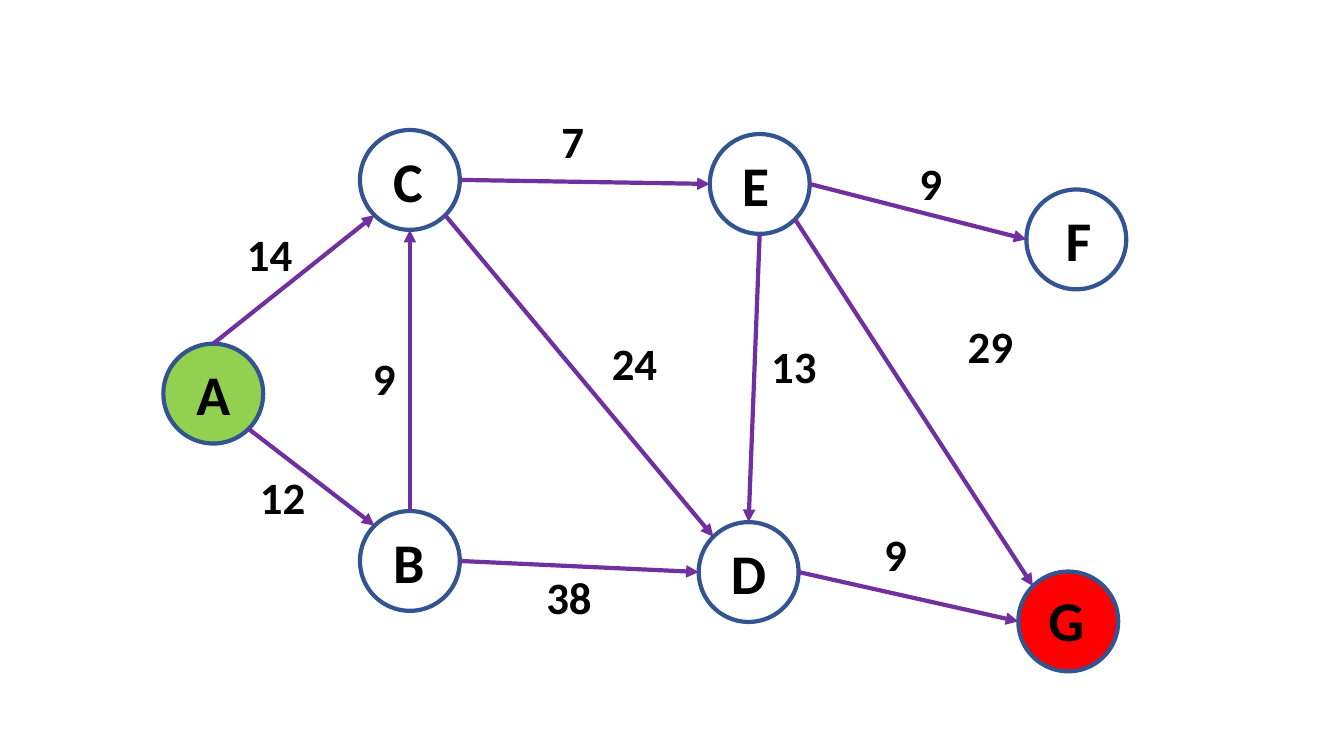
import math
import pptx
import pptx.util
import pptx.dml.color
import pptx.enum.shapes
import pptx.enum.text
import pptx.oxml.ns
import lxml.etree

Inches = pptx.util.Inches
COLORS = {"start": "92D050", "goal": "FF0000", "outline": "325491",
          "edge": "7030A0", "text": "000000"}
DIAMETER = 0.99
LINE_WIDTH = 3
LETTER_HEIGHT, WEIGHT_HEIGHT = 0.77, 0.64
WEIGHT_WIDTHS = {1: 0.43, 2: 0.66}

# Node: left, top, letter offset x, y, letter width, letter wraps, fill
NODES = {
    "A": (0, 2.33, 0.23, 0.11, 0.54, False, "start"),
    "C": (1.95, 0.21, 0.23, 0.11, 0.50, False, None),
    "B": (1.95, 3.99, 0.23, 0.11, 0.52, False, None),
    "E": (5.42, 0.25, 0.22, 0.11, 0.48, False, None),
    "D": (5.31, 4.10, 0.22, 0.11, 0.54, True, None),
    "F": (8.56, 0.80, 0.29, 0.11, 0.54, True, None),
    "G": (8.48, 4.59, 0.20, 0.09, 0.54, True, "goal"),
}

# Connection sites of an ellipse, counterclockwise from the top
TOP, TOP_LEFT, LEFT, BOTTOM_LEFT, BOTTOM, BOTTOM_RIGHT, RIGHT = range(7)

# Edge: from node, site, to node, site, weight, weight left, top
EDGES = [
    ("A", TOP, "C", BOTTOM_LEFT, "14", 0.73, 1.12),
    ("A", BOTTOM_RIGHT, "B", TOP_LEFT, "12", 0.86, 3.53),
    ("C", RIGHT, "E", LEFT, "7", 3.85, 0),
    ("B", TOP, "C", BOTTOM, "9", 1.98, 2.35),
    ("C", BOTTOM_RIGHT, "D", TOP_LEFT, "24", 4.35, 2.20),
    ("E", BOTTOM, "D", TOP, "13", 5.93, 2.23),
    ("E", RIGHT, "F", LEFT, "9", 7.40, 0.42),
    ("D", RIGHT, "G", LEFT, "9", 7.05, 4.10),
    ("E", BOTTOM_RIGHT, "G", TOP_LEFT, "29", 7.88, 2.03),
    ("B", RIGHT, "D", LEFT, "38", 3.70, 4.52),
]


def rgb(name):
    return pptx.dml.color.RGBColor.from_string(COLORS[name])


def add_xml(parent, tag, **attributes):
    return lxml.etree.SubElement(parent, pptx.oxml.ns.qn(tag), attributes)


def set_line(line, color):
    line.color.rgb = rgb(color)
    line.width = pptx.util.Pt(LINE_WIDTH)


def add_label(slide, text, left, top, width, height, size, wrap=False):
    label = slide.shapes.add_textbox(*map(Inches, (left, top, width, height)))
    frame = label.text_frame
    frame.word_wrap = wrap
    frame.auto_size = pptx.enum.text.MSO_AUTO_SIZE.SHAPE_TO_FIT_TEXT
    run = frame.paragraphs[0].add_run()
    run.text = text
    text_format = {"name": "Calibri", "size": pptx.util.Pt(size), "bold": True}
    for attribute, value in text_format.items():
        setattr(run.font, attribute, value)
    run.font.color.rgb = rgb("text")


def add_node(slide, letter, left, top):
    _, _, dx, dy, width, wrap, fill = NODES[letter]
    circle = slide.shapes.add_shape(
        pptx.enum.shapes.MSO_SHAPE.OVAL,
        *map(Inches, (left, top, DIAMETER, DIAMETER)))
    circle.shadow.inherit = False
    if fill:
        circle.fill.solid()
        circle.fill.fore_color.rgb = rgb(fill)
    else:
        circle.fill.background()
    set_line(circle.line, "outline")
    add_label(slide, letter, left + dx, top + dy, width, LETTER_HEIGHT, 40, wrap)
    return circle


def site_point(circle, site):
    angle = math.pi / 2 + site * math.pi / 4
    radius = circle.width / 2
    return (round(circle.left + radius * (1 + math.cos(angle))),
            round(circle.top + radius * (1 - math.sin(angle))))


def add_edge(slide, source, source_site, target, target_site):
    arrow = slide.shapes.add_connector(
        pptx.enum.shapes.MSO_CONNECTOR.STRAIGHT,
        *site_point(source, source_site), *site_point(target, target_site))
    set_line(arrow.line, "edge")
    add_xml(arrow.line._get_or_add_ln(), "a:tailEnd", type="triangle")
    add_xml(arrow._element.spPr, "a:effectLst")
    # Glue both ends to their nodes
    glue = arrow._element.nvCxnSpPr.cNvCxnSpPr
    ends = {"a:stCxn": (source, source_site), "a:endCxn": (target, target_site)}
    for tag, (node, site) in ends.items():
        add_xml(glue, tag, id=str(node.shape_id), idx=str(site))


def add_graph(slide, left, top):
    # Nodes with their letters
    circles = {letter: add_node(slide, letter, left + node[0], top + node[1])
               for letter, node in NODES.items()}
    # Directed edges
    for source, source_site, target, target_site, *_ in EDGES:
        add_edge(slide, circles[source], source_site, circles[target], target_site)
    # Edge weights
    for *_, weight, x, y in EDGES:
        add_label(slide, weight, left + x, top + y,
                  WEIGHT_WIDTHS[len(weight)], WEIGHT_HEIGHT, 32)


presentation = pptx.Presentation()
presentation.slide_width = Inches(13.33)
presentation.slide_height = Inches(7.5)
graph_slide = presentation.slides.add_slide(presentation.slide_layouts[6])
add_graph(graph_slide, 1.62, 1.08)
presentation.save("out.pptx")
